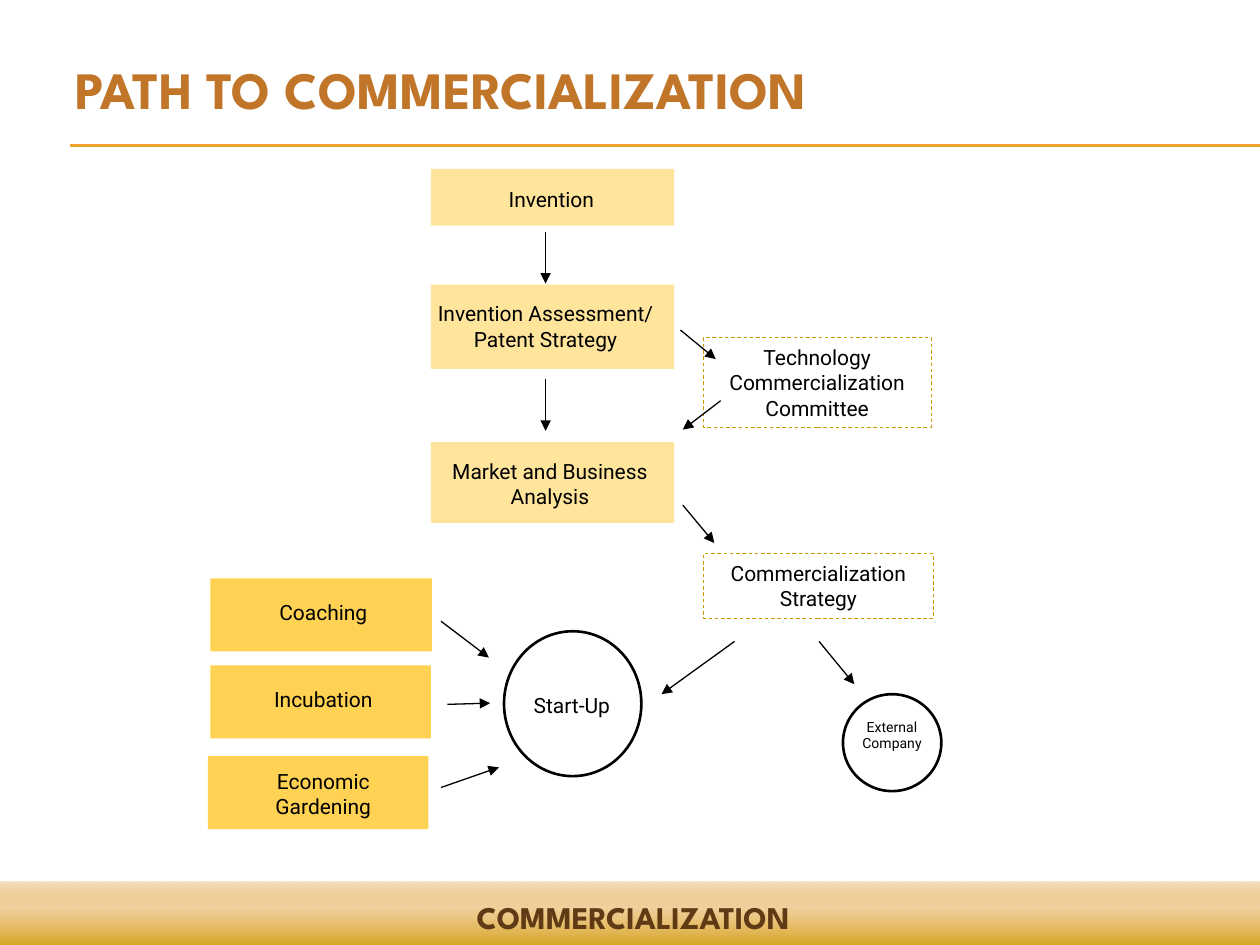
from lxml import etree
from pptx import Presentation
from pptx.dml.color import RGBColor
from pptx.enum.dml import MSO_LINE
from pptx.enum.shapes import MSO_CONNECTOR as Connector, MSO_SHAPE as Shape
from pptx.enum.text import MSO_ANCHOR as Anchor, PP_ALIGN as Align
from pptx.oxml.ns import qn
from pptx.util import Pt

COLORS = {
    "title": "C17529", "footer": "603A14", "rule": "F0A22E", "text": "000000",
    "stage": "FFE59B", "support": "FFD253", "review": "CC9900",
}
FOOTER_STOPS = [(0, "CC9900", 100), (65, "EFC17E", 75), (100, "D68000", 25)]
HEADING_FONT, BODY_FONT = "League Spartan", "Roboto"

TITLE = ("PATH TO COMMERCIALIZATION", (36, 21.6, 635.76, 50.4))
FOOTER = ("COMMERCIALIZATION", (10.8, 509.76, 702, 28.8))
FOOTER_BAND = (-1, 504, 722, 42)
RULE_LEFT, RULE_TOPS = 40.3, (82.8, 83.5)

STAGE_LEFT, STAGE_WIDTH = 246.24, 138.96
STAGES = [
    ("Invention", 96.5, 32.4, (275.8, 103, 78.5, 21.6)),
    ("Invention Assessment/ Patent Strategy", 162.7, 48.2, (239.8, 168.5, 144, 36)),
    ("Market and Business Analysis", 252.7, 46.1, (250.6, 258.5, 127.4, 36)),
]
SUPPORT_HEIGHT, SUPPORT_LABEL_LEFT, SUPPORT_LABEL_WIDTH = 41.76, 127.4, 114.8
SUPPORTS = [
    ("Coaching", 120.2, 330.5, 126.7, 339.1, 21.6),
    ("Incubation", 120.2, 380.2, 126, 388.8, 21.6),
    ("Economic Gardening", 118.8, 432, 126, 435.6, 36),
]
REVIEWS = [
    ("Technology Commercialization Committee", (401.8, 193, 130.3, 51.1)),
    ("Commercialization Strategy", (401.8, 316.5, 131.8, 36.7)),
]
OUTCOMES = [
    ("Start-Up", 12, (288, 360.7, 78.5, 82.8), (277.9, 392.4, 97.9, 21.6)),
    ("External\vCompany", 8, (481.7, 396.7, 56.2, 55.4), (468, 406.8, 83.5, 26.6)),
]
ARROWS = [
    (311.8, 132.5, 311.8, 162),
    (311.8, 216.7, 311.8, 246.2),
    (388.8, 188.6, 409, 205.2),
    (411.8, 229, 390.2, 245.5),
    (390.2, 288.7, 408.2, 310.3),
    (468, 366.5, 488.2, 391),
    (419.8, 366.5, 378, 396.7),
    (252, 355, 279.4, 375.8),
    (255.6, 402.5, 280.1, 401.8),
    (252, 450, 285.1, 438.5),
]


def color(name):
    return RGBColor.from_string(COLORS[name])


def add_box(slide, kind, box, fill=None, line=None, width=0.5):
    shape = slide.shapes.add_shape(kind, *map(Pt, box))
    shape.shadow.inherit = False
    if fill:
        shape.fill.solid()
        shape.fill.fore_color.rgb = color(fill)
    else:
        shape.fill.background()
    if line:
        shape.line.color.rgb = color(line)
        shape.line.width = Pt(width)
    else:
        shape.line.fill.background()
    return shape


def write(shape, text, size=12, font=BODY_FONT, ink="text", bold=False,
          align=Align.CENTER, anchor=Anchor.TOP):
    frame = shape.text_frame
    frame.word_wrap = True
    frame.vertical_anchor = anchor
    frame.text = text
    paragraph = frame.paragraphs[0]
    paragraph.alignment = align
    for run in paragraph.runs:
        run.font.size, run.font.name, run.font.bold = Pt(size), font, bold
        run.font.color.rgb = color(ink)


def add_label(slide, text, box, **style):
    write(slide.shapes.add_textbox(*map(Pt, box)), text, **style)


def add_line(slide, ends, ink, arrow=False):
    line = slide.shapes.add_connector(Connector.STRAIGHT, *map(Pt, ends))
    line.line.color.rgb = color(ink)
    line.line.width = Pt(0.75)
    if arrow:
        etree.SubElement(line.line._get_or_add_ln(), qn("a:tailEnd"), type="triangle")
    etree.SubElement(line._element.spPr, qn("a:effectLst"))


def add_footer_band(slide):
    band = add_box(slide, Shape.RECTANGLE, FOOTER_BAND)
    properties = band._element.spPr
    gradient = etree.Element(qn("a:gradFill"), rotWithShape="1")
    stops = etree.SubElement(gradient, qn("a:gsLst"))
    for position, value, opacity in FOOTER_STOPS:
        stop = etree.SubElement(stops, qn("a:gs"), pos=str(position * 1000))
        tint = etree.SubElement(stop, qn("a:srgbClr"), val=value)
        etree.SubElement(tint, qn("a:alpha"), val=str(opacity * 1000))
    etree.SubElement(gradient, qn("a:lin"), ang=str(270 * 60000), scaled="0")
    properties.replace(properties.find(qn("a:noFill")), gradient)


def main():
    presentation = Presentation()
    presentation.slide_width, presentation.slide_height = Pt(720), Pt(540)
    slide = presentation.slides.add_slide(presentation.slide_layouts[6])

    for top in RULE_TOPS:
        add_line(slide, (RULE_LEFT, top, 720, top), "rule")
    add_footer_band(slide)
    add_label(slide, *FOOTER, size=18, font=HEADING_FONT, ink="footer", bold=True)
    add_label(slide, *TITLE, size=30, font=HEADING_FONT, ink="title", bold=True,
              align=Align.LEFT, anchor=Anchor.BOTTOM)

    for text, box in REVIEWS:
        review = add_box(slide, Shape.RECTANGLE, box, line="review")
        review.line.dash_style = MSO_LINE.DASH
        write(review, text, anchor=Anchor.MIDDLE)
    for text, size, circle, label in OUTCOMES:
        add_box(slide, Shape.OVAL, circle, line="text", width=1.5)
        add_label(slide, text, label, size=size)
    for text, top, height, label in STAGES:
        add_box(slide, Shape.RECTANGLE, (STAGE_LEFT, top, STAGE_WIDTH, height), "stage")
        add_label(slide, text, label)
    for text, left, top, width, label_top, label_height in SUPPORTS:
        add_box(slide, Shape.RECTANGLE, (left, top, width, SUPPORT_HEIGHT), "support")
        add_label(slide, text,
                  (SUPPORT_LABEL_LEFT, label_top, SUPPORT_LABEL_WIDTH, label_height))
    for ends in ARROWS:
        add_line(slide, ends, "text", arrow=True)

    presentation.save("out.pptx")


if __name__ == "__main__":
    main()
